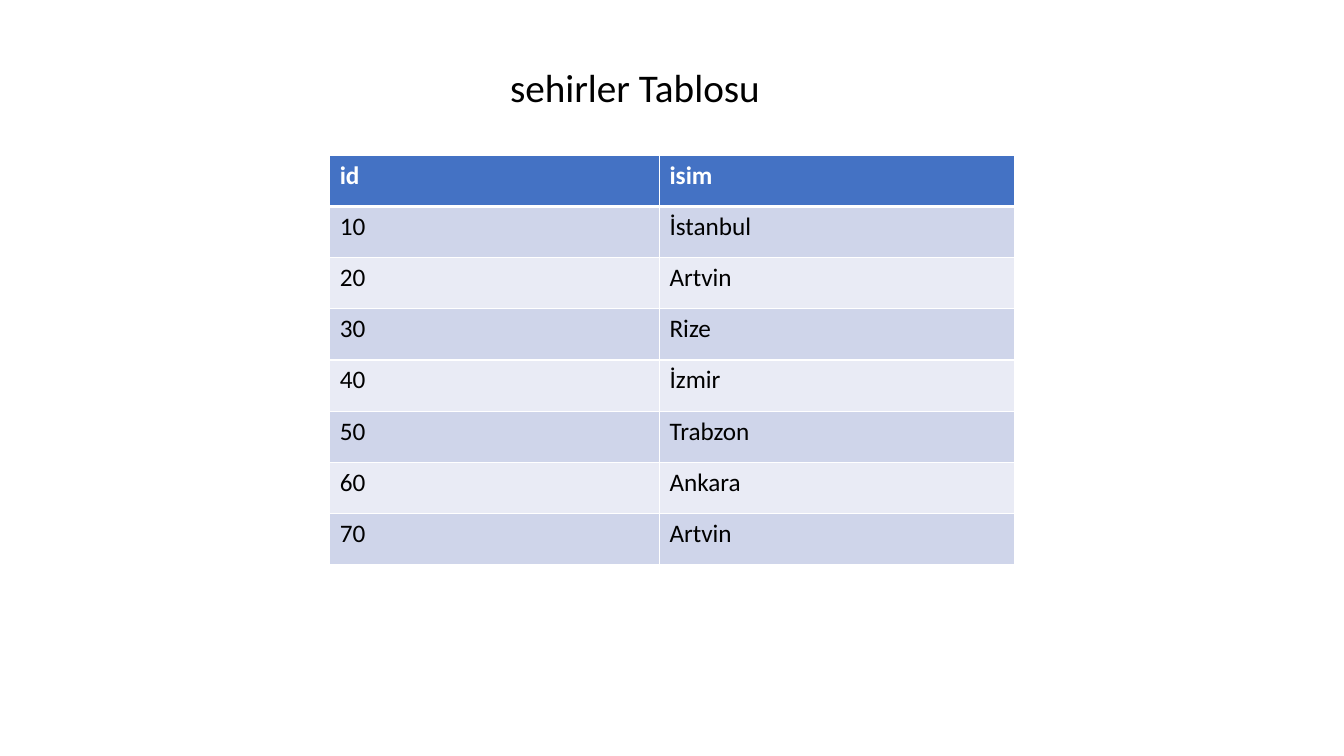
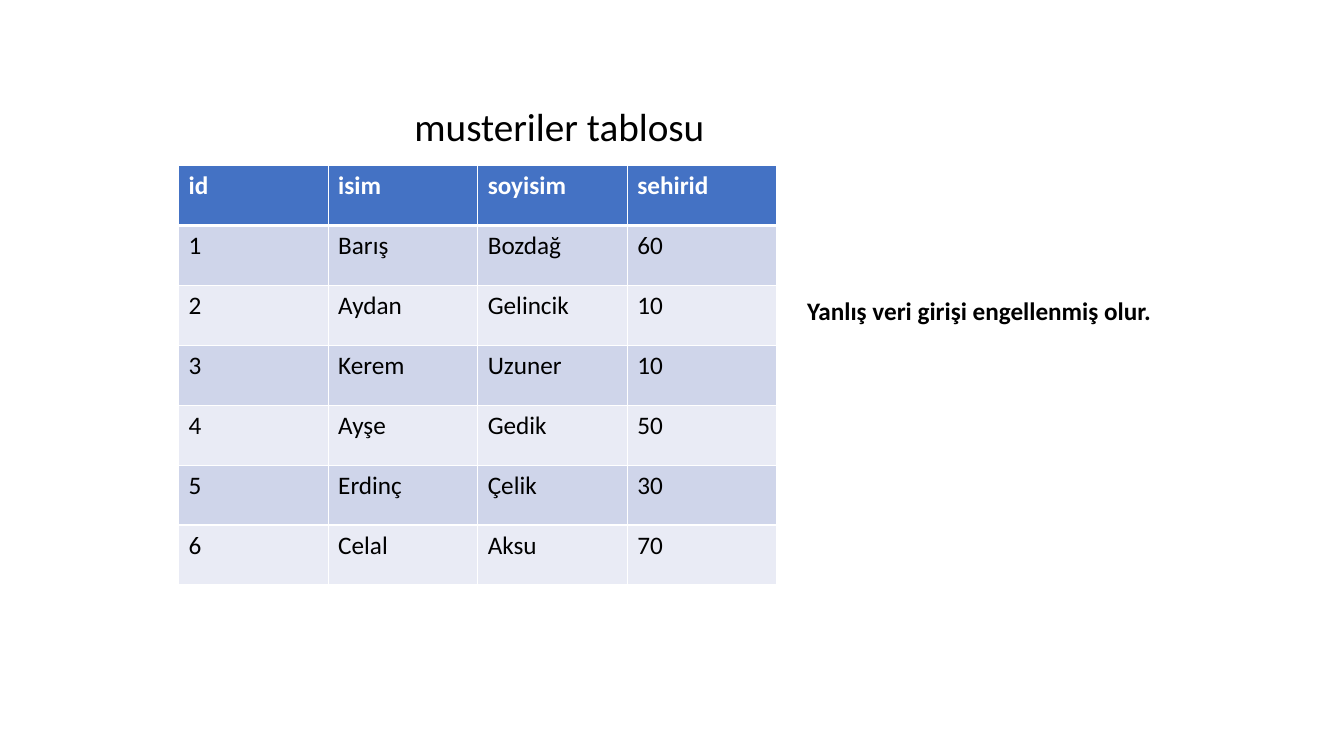
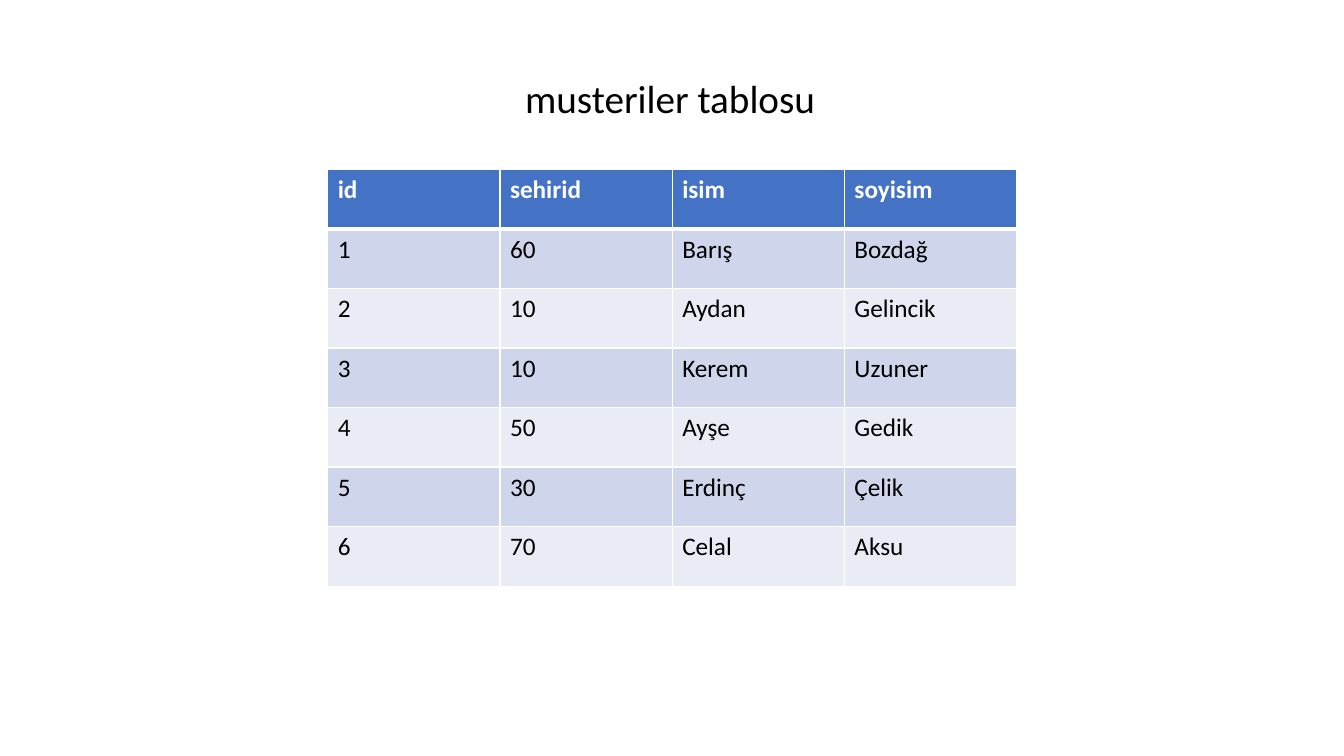
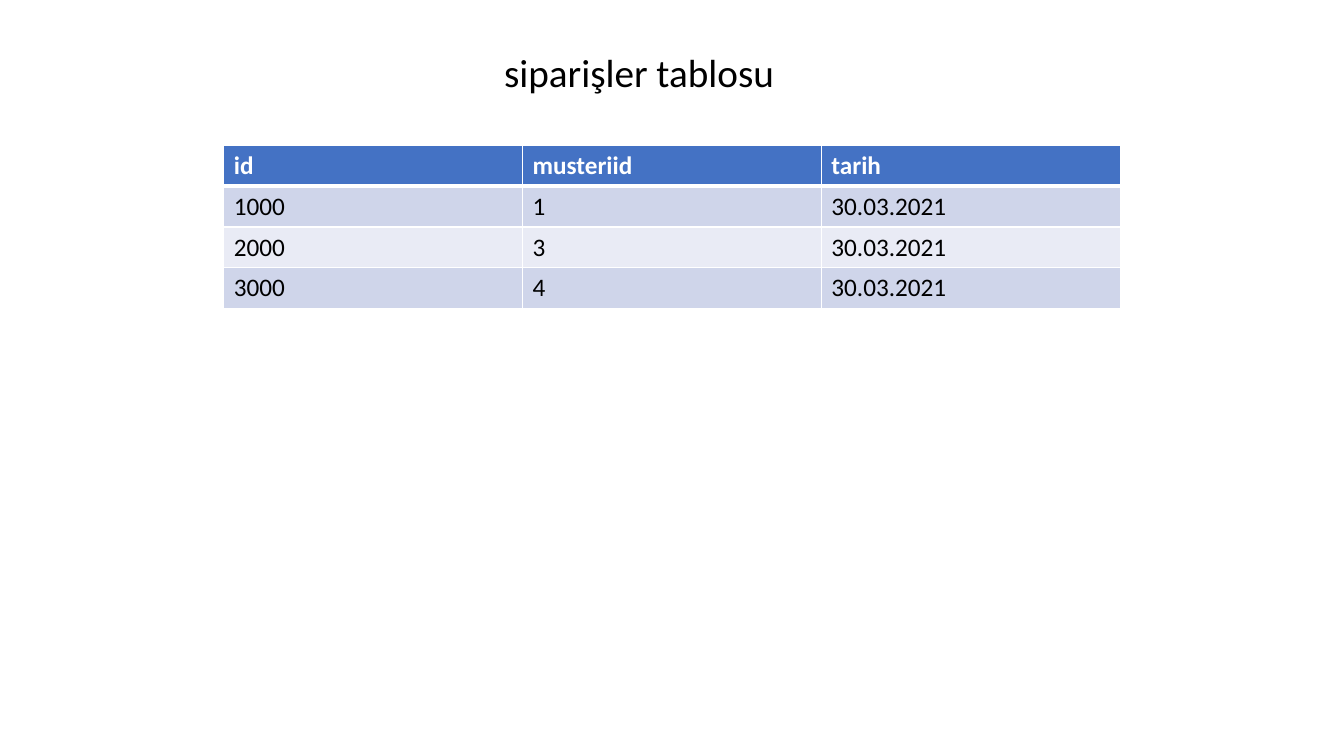
from lxml import etree
from pptx import Presentation
from pptx.dml.color import RGBColor
from pptx.enum.text import MSO_ANCHOR, MSO_AUTO_SIZE, PP_ALIGN
from pptx.oxml.ns import qn
from pptx.util import Cm, Pt

LEFT = PP_ALIGN.LEFT
TOP = MSO_ANCHOR.TOP
NO_AUTOFIT = MSO_AUTO_SIZE.NONE

BLACK = RGBColor(0x00, 0x00, 0x00)
WHITE = RGBColor(0xFF, 0xFF, 0xFF)
HEADER_BLUE = RGBColor(0x44, 0x72, 0xC4)
BAND_DARK = RGBColor(0xCF, 0xD5, 0xEA)
BAND_LIGHT = RGBColor(0xE9, 0xEB, 0xF5)
FONT = "Calibri"
TITLE_ONLY = 5
TITLE_HEIGHT = 1.45

CITIES = [
    ("id", "isim"),
    ("10", "İstanbul"),
    ("20", "Artvin"),
    ("30", "Rize"),
    ("40", "İzmir"),
    ("50", "Trabzon"),
    ("60", "Ankara"),
    ("70", "Artvin"),
]
CUSTOMERS = [
    ("id", "isim", "soyisim", "sehirid"),
    ("1", "Barış", "Bozdağ", "60"),
    ("2", "Aydan", "Gelincik", "10"),
    ("3", "Kerem", "Uzuner", "10"),
    ("4", "Ayşe", "Gedik", "50"),
    ("5", "Erdinç", "Çelik", "30"),
    ("6", "Celal", "Aksu", "70"),
]
CUSTOMERS_CITY_SECOND = [
    (number, city, name, surname) for number, name, surname, city in CUSTOMERS
]
ORDERS = [
    ("id", "musteriid", "tarih"),
    ("1000", "1", "30.03.2021"),
    ("2000", "3", "30.03.2021"),
    ("3000", "4", "30.03.2021"),
]
NOTE = "Yanlış veri girişi engellenmiş olur."

SLIDES = [
    {"title": "sehirler Tablosu", "title_box": (12.6, 1.47, 8.66),
     "rows": CITIES, "corner": (8.31, 3.91),
     "widths": (8.31, 8.94), "row_height": 1.29},
    {"title": "musteriler tablosu", "title_box": (10.19, 2.46, 7.9),
     "rows": CUSTOMERS, "corner": (4.5, 4.17),
     "widths": (3.77,) * 4, "row_height": 1.51,
     "note": NOTE, "note_box": (20.09, 7.32, 10.49, 1.02)},
    {"title": "musteriler tablosu", "title_box": (12.98, 1.75, 7.9),
     "rows": CUSTOMERS_CITY_SECOND, "corner": (8.26, 4.27),
     "widths": (4.34,) * 4, "row_height": 1.5},
    {"title": "siparişler tablosu", "title_box": (12.45, 1.09, 7.39),
     "rows": ORDERS, "corner": (5.64, 3.66),
     "widths": (7.53,) * 3, "row_height": 1.03},
]


def write(text_frame, text, size, color=BLACK, bold=False):
    text_frame.text = text
    paragraph = text_frame.paragraphs[0]
    paragraph.alignment = LEFT
    paragraph.font.name = FONT
    paragraph.font.size = Pt(size)
    paragraph.font.bold = bold
    paragraph.font.color.rgb = color


def add_title(slide, text, box):
    title = slide.shapes.title
    title.left, title.top, title.width = map(Cm, box)
    title.height = Cm(TITLE_HEIGHT)
    frame = title.text_frame
    frame.word_wrap = False
    frame.auto_size = NO_AUTOFIT
    frame.vertical_anchor = TOP
    write(frame, text, 28)


def add_note(slide, text, box):
    frame = slide.shapes.add_textbox(*map(Cm, box)).text_frame
    frame.word_wrap = True
    write(frame, text, 18, bold=True)


def add_borders(cell, widths):
    properties = cell._tc.get_or_add_tcPr()
    for side, width in widths.items():
        line = etree.SubElement(properties, qn(f"a:ln{side}"), w=str(Pt(width)))
        fill = etree.SubElement(line, qn("a:solidFill"))
        etree.SubElement(fill, qn("a:srgbClr"), val=str(WHITE))


def style_cell(cell, text, row_index):
    is_header = row_index == 0
    if is_header:
        add_borders(cell, {"L": 1, "R": 1, "T": 1, "B": 3})
        background = HEADER_BLUE
    else:
        add_borders(cell, {"L": 1, "R": 1, "B": 1})
        background = BAND_DARK if row_index % 2 else BAND_LIGHT
    cell.fill.solid()
    cell.fill.fore_color.rgb = background
    write(cell.text_frame, text, 18, WHITE if is_header else BLACK, is_header)


def add_data_table(slide, rows, corner, widths, row_height):
    left, top = map(Cm, corner)
    table = slide.shapes.add_table(
        len(rows), len(widths), left, top,
        Cm(sum(widths)), Cm(row_height * len(rows))).table
    for column, width in zip(table.columns, widths):
        column.width = Cm(width)
    for row_index, values in enumerate(rows):
        table.rows[row_index].height = Cm(row_height)
        for column_index, value in enumerate(values):
            style_cell(table.cell(row_index, column_index), value, row_index)


presentation = Presentation()
presentation.slide_width = Cm(33.87)
presentation.slide_height = Cm(19.05)

for content in SLIDES:
    slide = presentation.slides.add_slide(presentation.slide_layouts[TITLE_ONLY])
    add_title(slide, content["title"], content["title_box"])
    add_data_table(slide, content["rows"], content["corner"],
                   content["widths"], content["row_height"])
    if "note" in content:
        add_note(slide, content["note"], content["note_box"])

presentation.save("out.pptx")
